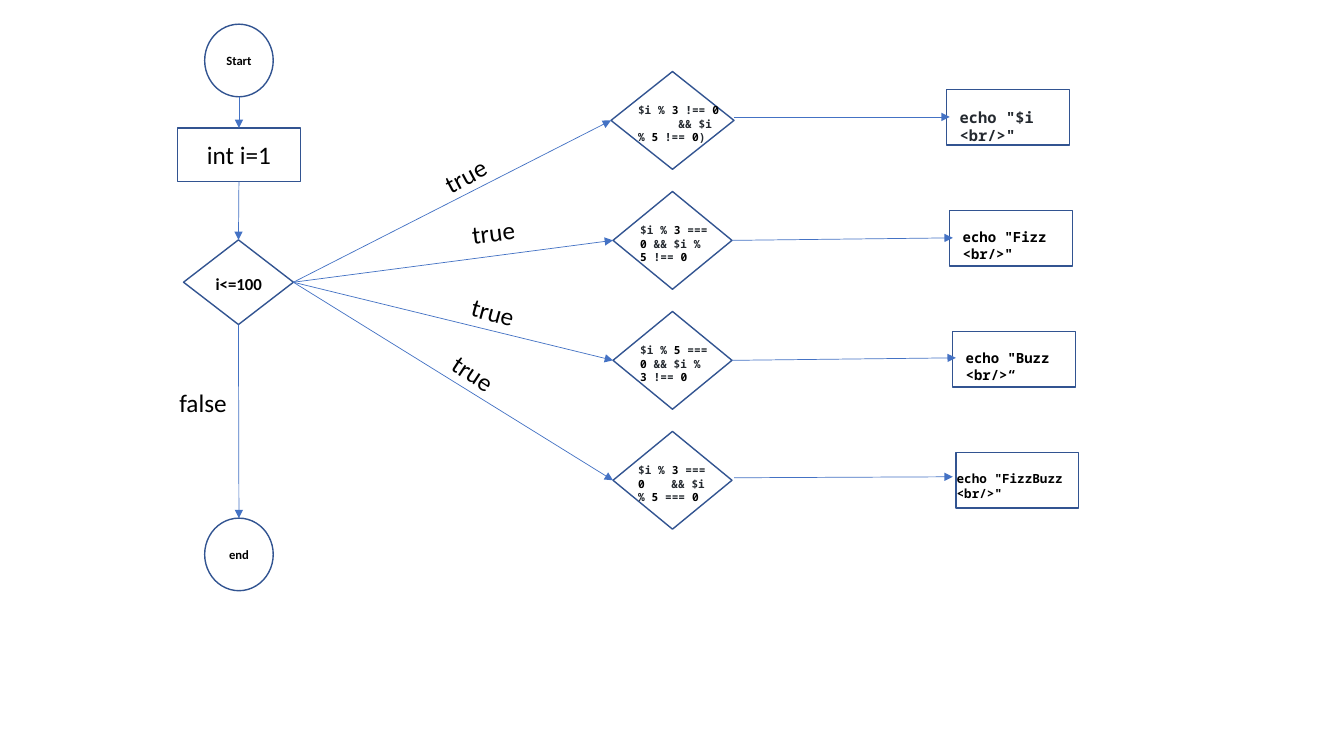
from itertools import groupby

from lxml.etree import SubElement
from pptx import Presentation
from pptx.dml.color import RGBColor
from pptx.enum.shapes import MSO_CONNECTOR, MSO_SHAPE
from pptx.enum.text import MSO_ANCHOR, MSO_AUTO_SIZE, PP_ALIGN
from pptx.oxml.ns import qn
from pptx.util import Pt

PX = 9144  # EMU per px, 100 px to the inch
OUTLINE, ARROW, BLACK, CODE = "325491", "4472C4", "000000", "24292F"
SANS, MONO = "Calibri", "Noto Sans Mono"
ROW_PITCH, BOX_PITCH, BOX_SHIFT = 119, 120, 3


def px(*lengths):
    return [round(n * PX) for n in lengths]


def paint(color_format, color):
    color_format.rgb = RGBColor.from_string(color)


def style_run(r, size, color=BLACK, bold=False, font=SANS):
    r.font.size, r.font.bold, r.font.name = Pt(size), bold, font
    paint(r.font.color, color)


def add_node(slide, kind, box, text="", size=18, bold=False, fill=None):
    sp = slide.shapes.add_shape(kind, *px(*box))
    sp.shadow.inherit = False
    if fill:
        sp.fill.solid()
        paint(sp.fill.fore_color, fill)
    else:
        sp.fill.background()
    paint(sp.line.color, OUTLINE)
    sp.line.width = Pt(1)
    if text:
        tf = sp.text_frame
        tf.margin_left = tf.margin_right = 0
        tf.vertical_anchor = MSO_ANCHOR.MIDDLE
        tf.text = text
        p = tf.paragraphs[0]
        p.alignment = PP_ALIGN.CENTER
        style_run(p.runs[0], size, bold=bold)
    return sp


def add_text(slide, box, wrap=True):
    sp = slide.shapes.add_textbox(*px(*box))
    sp.text_frame.word_wrap = wrap
    sp.text_frame.auto_size = MSO_AUTO_SIZE.SHAPE_TO_FIT_TEXT
    return sp


def add_label(slide, box, text, size=18, bold=False, angle=0):
    sp = add_text(slide, box, wrap=False)
    sp.rotation = angle
    sp.text_frame.text = text
    style_run(sp.text_frame.paragraphs[0].runs[0], size, bold=bold)


def add_condition_text(slide, box, text, tab):
    """Write a condition with black digits; tab is the stop of its inner gap."""
    tf = add_text(slide, box).text_frame
    for n, line in enumerate(text.split("\n")):
        p = tf.add_paragraph() if n else tf.paragraphs[0]
        if "\t" in line:
            tabs = SubElement(p._p.get_or_add_pPr(), qn("a:tabLst"))
            SubElement(tabs, qn("a:tab"), pos=str(tab * PX), algn="l")
        for is_digit, chars in groupby(line, str.isdigit):
            r = p.add_run()
            r.text = "".join(chars)
            style_run(r, 8, BLACK if is_digit else CODE, True, MONO)


def add_arrow(slide, start, end, source=None, target=None):
    """Draw an arrow; source and target are (shape, site) pairs to join."""
    cx = slide.shapes.add_connector(MSO_CONNECTOR.STRAIGHT, *px(*start, *end))
    if source:
        cx.begin_connect(*source)
    if target:
        cx.end_connect(*target)
    paint(cx.line.color, ARROW)
    cx.line.width = Pt(0.5)
    SubElement(cx.line._get_or_add_ln(), qn("a:tailEnd"), type="triangle")
    SubElement(cx._element.spPr, qn("a:effectLst"))


def add_main_flow(slide, left, top):
    """Draw the column from Start to end and return the loop diamond."""
    add_node(slide, MSO_SHAPE.OVAL, (left + 27, top, 68, 72),
             "Start", 9, True, "FFFFFF")
    init = add_node(slide, MSO_SHAPE.RECTANGLE, (left, top + 103, 122, 53), "int i=1")
    loop = add_node(slide, MSO_SHAPE.DIAMOND, (left + 6, top + 214, 109, 84))
    add_label(slide, (left + 28, top + 243, 70, 30), "i<=100", 12, True)
    end = add_node(slide, MSO_SHAPE.OVAL, (left + 27, top + 490, 68, 72),
                   "end", 9, True, "FFFFFF")
    axis = left + 61
    for source, y1, target, y2 in ((None, 72, init, 103),
                                   ((init, 2), 156, loop, 214),
                                   ((loop, 2), 298, end, 490)):
        add_arrow(slide, (axis, top + y1), (axis, top + y2), source, (target, 0))
    add_label(slide, (left - 8, top + 355, 68, 40), "false")
    return loop


def add_branch(slide, row, loop, branch):
    """Draw one row: arrow from the loop, condition, arrow and echo box."""
    (x, w), (text_x, text_w, condition, tab), echo, true_label, link = branch
    y = 71 + row * ROW_PITCH
    diamond = add_node(slide, MSO_SHAPE.DIAMOND, (x, y, w, 97))
    add_condition_text(slide, (text_x, y + 27, text_w, 37), condition, tab)
    add_arrow(slide, (291, 280), (x, y + 48), (loop, 3), (diamond, 1))
    true_box, angle = true_label
    add_label(slide, (*true_box, 66, 40), "true", angle=angle)

    box_x, box_y = 939 + row * BOX_SHIFT, 89 + row * BOX_PITCH
    add_node(slide, MSO_SHAPE.RECTANGLE, (box_x, box_y, 122, 55))
    echo_x, echo_w, output, size, color = echo
    sp = add_text(slide, (echo_x, box_y + 13, echo_w, 27))
    sp.text_frame.text = output
    style_run(sp.text_frame.paragraphs[0].runs[0], size, color, True, MONO)
    start, end, joined = link
    add_arrow(slide, start, end, (diamond, 3) if joined else None)


# diamond; condition text; echo text; "true" label; arrow to the echo box
BRANCHES = [
    ((606, 122), (623, 104, "$i % 3 !== 0\n\t&& $i % 5 !== 0)", 40),
     (942, 122, 'echo "$i <br/>"', 11, CODE),
     ((430, 153), 331.9), ((728, 116), (942, 116), False)),
    ((608, 118), (625, 91, "$i % 3 === 0 && $i % 5 !== 0", 0),
     (945, 122, 'echo "Fizz <br/>"', 10, BLACK),
     ((458, 210), 352.9), ((726, 238), (945, 236), True)),
    ((608, 118), (625, 91, "$i % 5 === 0 && $i % 3 !== 0", 0),
     (948, 132, 'echo "Buzz <br/>“', 10, BLACK),
     ((458, 290), 15.4), ((726, 357), (948, 355), True)),
    ((608, 118), (623, 99, "$i % 3 === 0\t&& $i % 5 === 0", 33),
     (939, 149, 'echo "FizzBuzz <br/>"', 9, BLACK),
     ((438, 351), 33.3), ((728, 474), (945, 473), False)),
]


def main():
    prs = Presentation()
    prs.slide_width, prs.slide_height = px(1333, 750)
    slide = prs.slides.add_slide(prs.slide_layouts[6])
    loop = add_main_flow(slide, 176, 24)
    for row, branch in enumerate(BRANCHES):
        add_branch(slide, row, loop, branch)
    prs.save("out.pptx")


if __name__ == "__main__":
    main()
